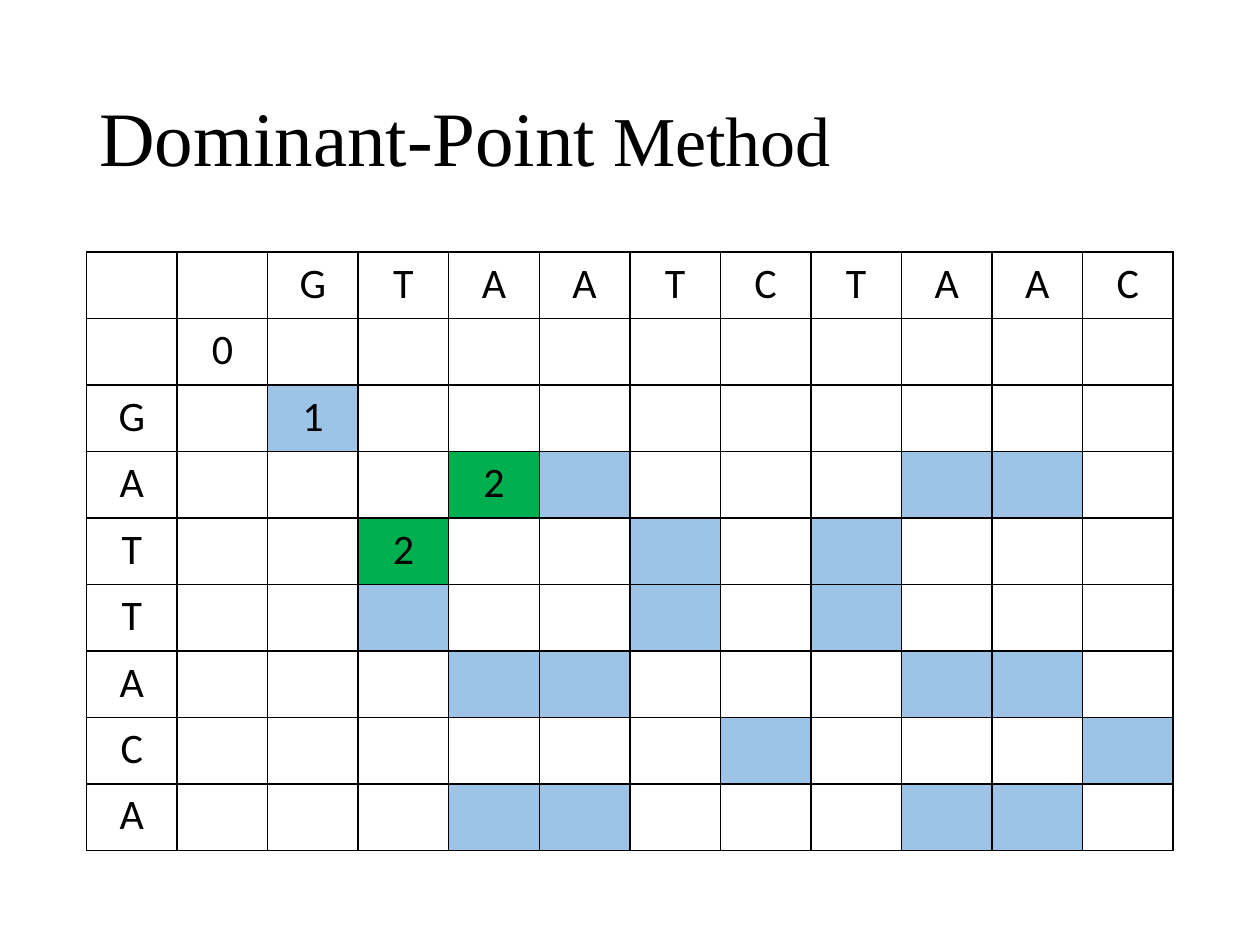
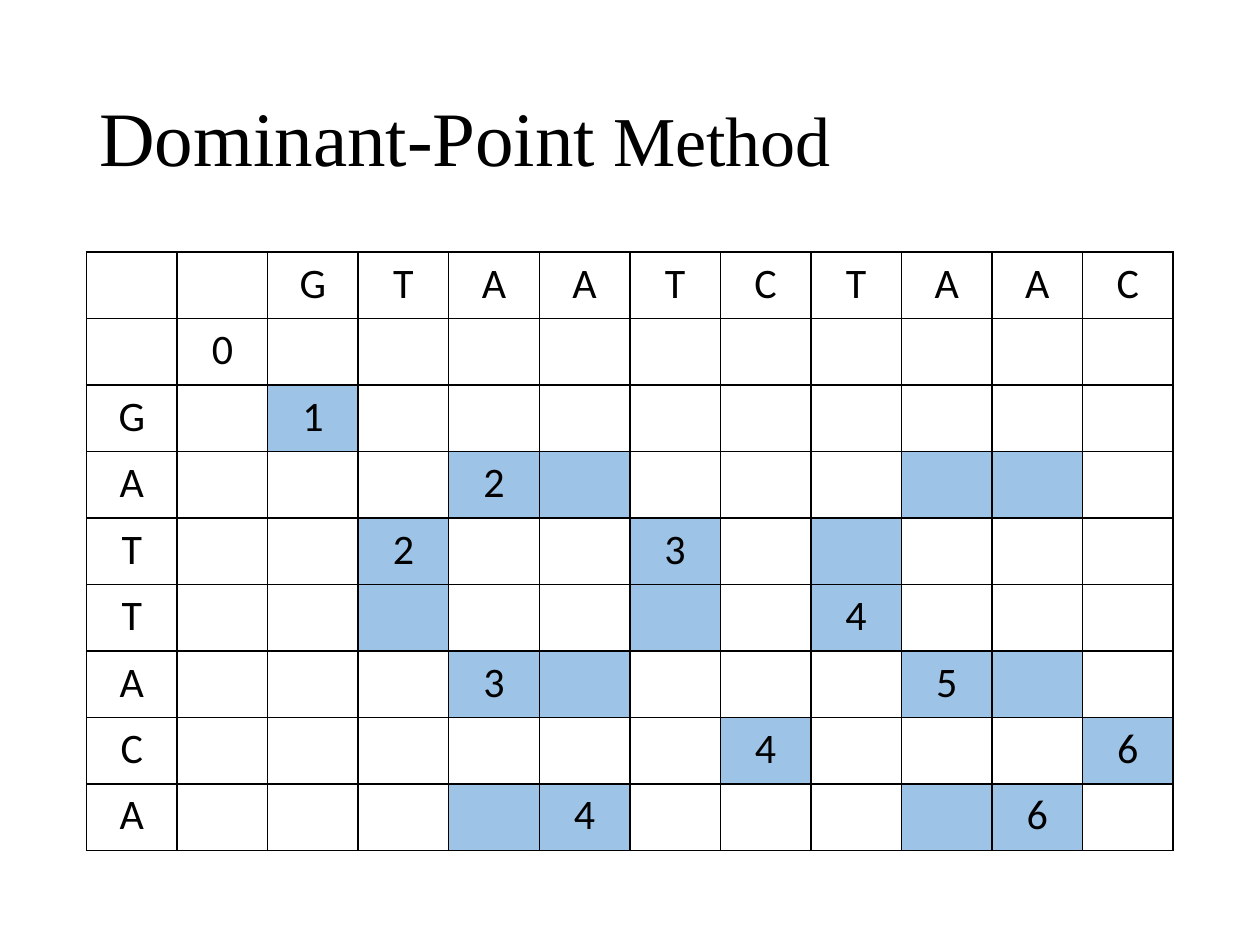
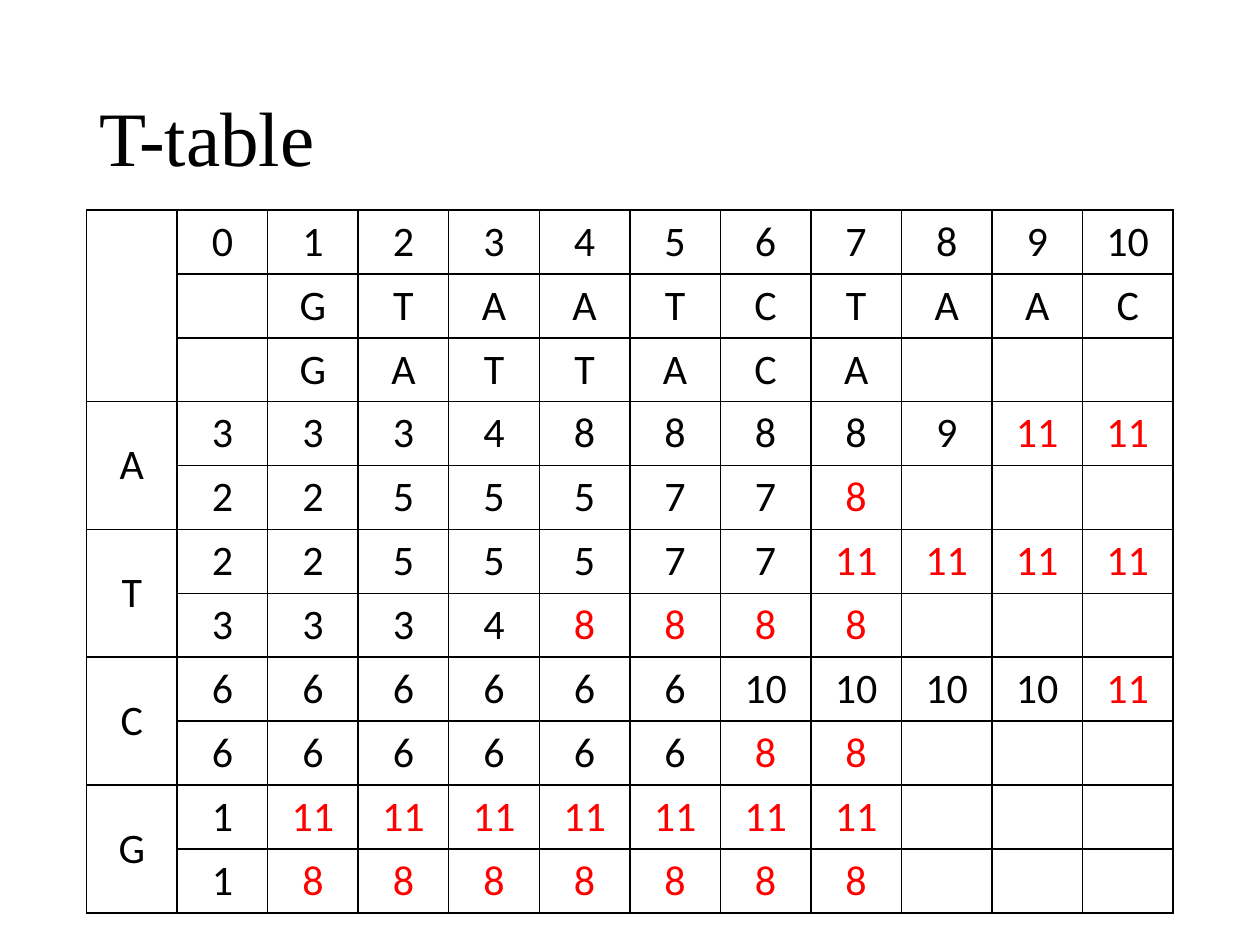
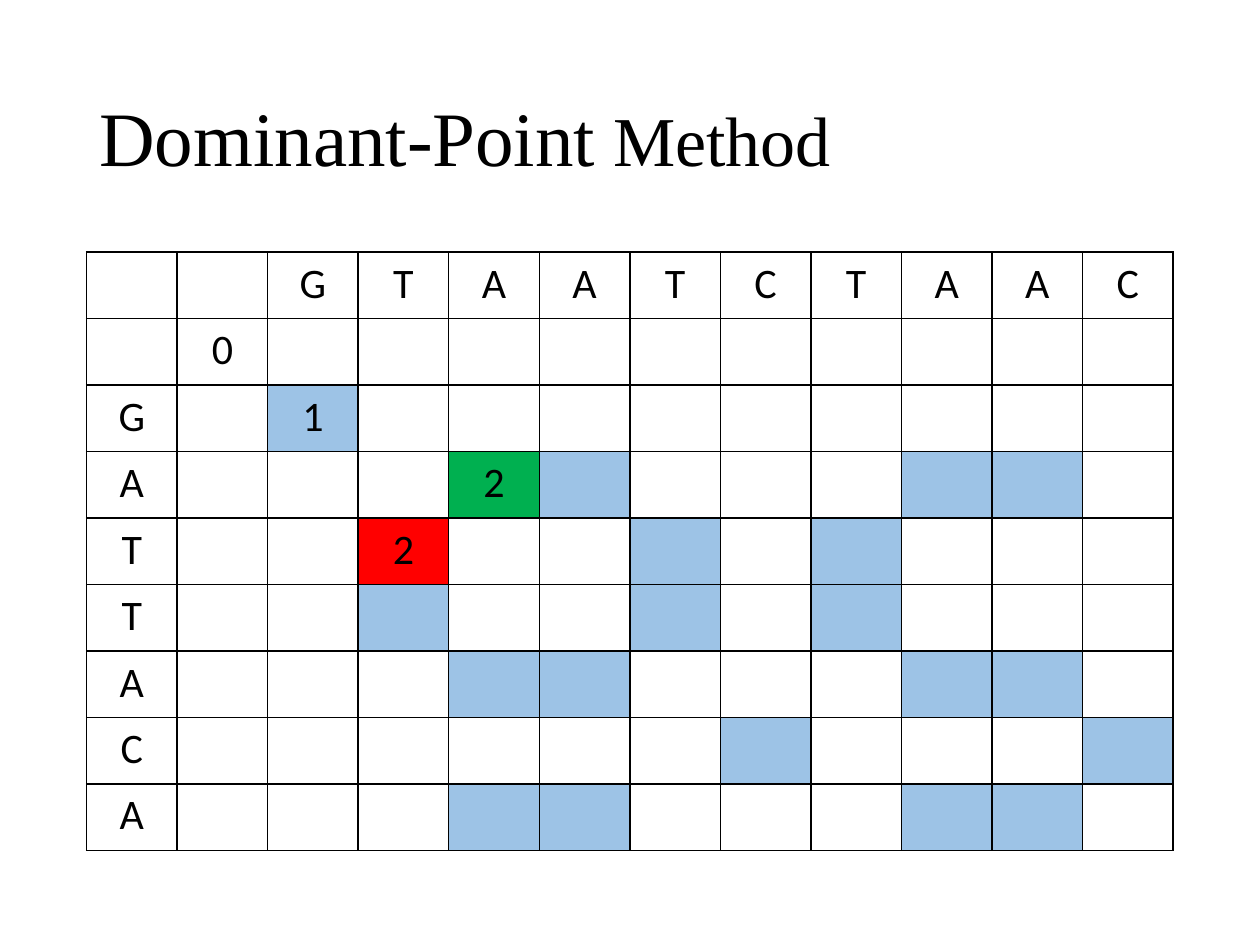
from lxml.etree import SubElement as Sub, Element
from pptx import Presentation
from pptx.dml.color import RGBColor
from pptx.enum.text import MSO_ANCHOR as Anchor, MSO_AUTO_SIZE as Fit, PP_ALIGN as Align
from pptx.oxml.ns import qn
from pptx.util import Pt

BLACK, WHITE, RED = "000000", "FFFFFF", "FF0000"
BLUE, GREEN = "9DC3E6", "00B050"
SERIF, SANS = "Times New Roman", "Calibri"

TOP_SEQ, SIDE_SEQ = "GTAATCTAAC", "GATTACA"
COLS = len(TOP_SEQ) + 2
TITLE_BOX = (49.5, 28.75, 621, 104.5)
GRID_BOX = (49.5, 144, 621, 342)
NEXT_BOX = (49.5, 120, 621, 396)

METHOD = [("Dominant-Point", 44), (" Method", 40)]
START = {(0, 0): 0, (1, 1): 1, (2, 3): 2, (3, 2): 2}
FULL = START | {(3, 5): 3, (4, 7): 4, (5, 3): 3, (5, 8): 5, (6, 6): 4,
                (6, 10): 6, (7, 4): 4, (7, 9): 6}


def color(code):
    return RGBColor.from_string(code)


def write(frame, runs, font=SANS, ink=BLACK, align=Align.CENTER, space=None):
    para = frame.paragraphs[0]
    para.alignment = align
    para.line_spacing = space
    for text, size in runs:
        run = para.add_run()
        run.text = text
        run.font.name = font
        run.font.size = Pt(size)
        run.font.color.rgb = color(ink)


def border(cell):
    props = cell._tc.get_or_add_tcPr()
    for place, side in enumerate(("lnL", "lnR", "lnT", "lnB")):
        line = Element(qn(f"a:{side}"), w=str(Pt(1)))
        fill = Sub(line, qn("a:solidFill"))
        Sub(fill, qn("a:srgbClr"), val=BLACK)
        props.insert(place, line)


def style(cell, text="", fill=None, ink=BLACK, anchor=Anchor.TOP):
    if fill:
        cell.fill.solid()
        cell.fill.fore_color.rgb = color(fill)
    else:
        cell.fill.background()
    cell.vertical_anchor = anchor
    if text:
        write(cell.text_frame, [(text, 24)], ink=ink)
    border(cell)


def add_grid(slide, box, rows):
    left, top, width, height = box
    grid = slide.shapes.add_table(rows, COLS, *map(Pt, box)).table
    grid.first_row = grid.horz_banding = False
    for col in grid.columns:
        col.width = Pt(width / COLS)
    for row in grid.rows:
        row.height = Pt(height / rows)
    return grid


def add_title(deck, runs, box=TITLE_BOX):
    slide = deck.slides.add_slide(deck.slide_layouts[5])
    title = slide.shapes.title
    title.left, title.top, title.width, title.height = map(Pt, box)
    frame = title.text_frame
    frame.auto_size = Fit.NONE
    frame.word_wrap = True
    frame.vertical_anchor = Anchor.MIDDLE
    write(frame, runs, font=SERIF, align=Align.LEFT, space=0.9)
    return slide


def match_grid(slide, box, points, marks):
    rows = len(SIDE_SEQ) + 2
    grid = add_grid(slide, box, rows)
    across, down = "  " + TOP_SEQ, "  " + SIDE_SEQ
    for r in range(rows):
        for c in range(COLS):
            spot = (r - 1, c - 1)
            text = across[c] if r == 0 else down[r] if c == 0 else str(points.get(spot, ""))
            match = r > 1 and c > 1 and down[r] == across[c]
            fill = marks.get(spot, BLUE if match else None)
            style(grid.cell(r, c), text.strip(), fill)


def next_spots(seq, letter, count):
    end = len(seq) + 1
    spots = [seq.find(letter, start) + 1 or end for start in range(count)]
    return [(str(spot), RED if spot == end else BLACK) for spot in spots]


def next_grid(slide, box):
    heads = [map(str, range(COLS - 1)), ["", *TOP_SEQ], ["", *SIDE_SEQ]]
    lines = [[(text, BLACK) for text in head] for head in heads]
    short = len(SIDE_SEQ) + 1
    spans = {0: ("", 3)}
    for letter in "ATCG":
        spans[len(lines)] = (letter, 2)
        count = short if letter == "G" else len(TOP_SEQ) + 1
        lines.append(next_spots(TOP_SEQ, letter, count))
        lines.append(next_spots(SIDE_SEQ, letter, short))

    grid = add_grid(slide, box, len(lines))
    for r, line in enumerate(lines):
        label = spans.get(r, ("", 1))[0]
        cells = [(label, BLACK), *line]
        cells += [("", BLACK)] * (COLS - len(cells))
        for c, (text, ink) in enumerate(cells):
            fill = WHITE if r > 1 and c > 1 else None
            style(grid.cell(r, c), text, fill, ink, Anchor.MIDDLE)
    for r, (label, size) in spans.items():
        grid.cell(r, 0).merge(grid.cell(r + size - 1, 0))


def main():
    deck = Presentation()
    deck.slide_width, deck.slide_height = Pt(720), Pt(540)
    match_grid(add_title(deck, METHOD), GRID_BOX, START, {(2, 3): GREEN, (3, 2): GREEN})
    match_grid(add_title(deck, METHOD), GRID_BOX, FULL, {})
    next_grid(add_title(deck, [("T-table", 44)]), NEXT_BOX)
    match_grid(add_title(deck, METHOD), GRID_BOX, START, {(2, 3): GREEN, (3, 2): RED})
    deck.save("out.pptx")


if __name__ == "__main__":
    main()
